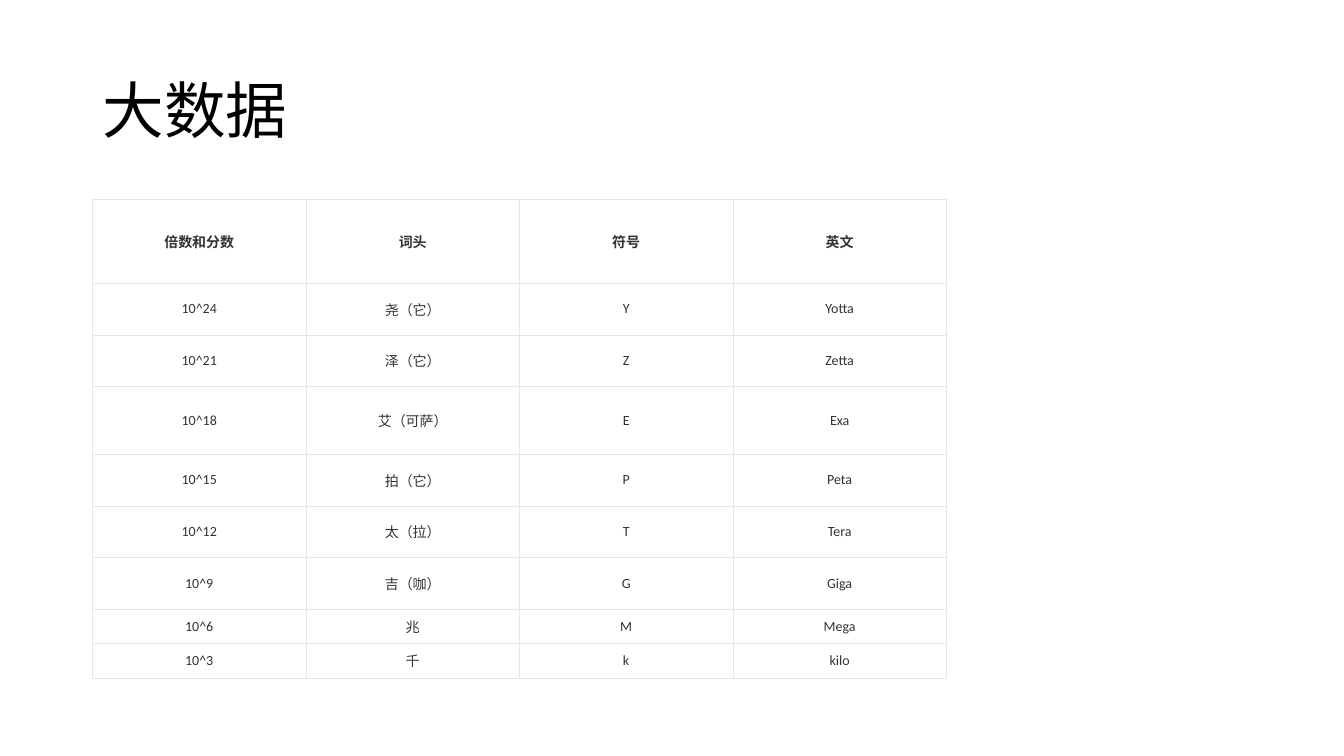
import pptx
import pptx.dml.color
import pptx.enum.lang
import pptx.enum.text
import pptx.oxml
import pptx.oxml.ns
import pptx.util

Cm, Pt = pptx.util.Cm, pptx.util.Pt
ALIGN = pptx.enum.text.PP_ALIGN
MIDDLE = pptx.enum.text.MSO_ANCHOR.MIDDLE
CHINESE = pptx.enum.lang.MSO_LANGUAGE_ID.SIMPLIFIED_CHINESE

HEADINGS = ("倍数和分数", "词头", "符号", "英文")
PREFIXES = (
    ("尧（它）", "Y", "Yotta"),
    ("泽（它）", "Z", "Zetta"),
    ("艾（可萨）", "E", "Exa"),
    ("拍（它）", "P", "Peta"),
    ("太（拉）", "T", "Tera"),
    ("吉（咖）", "G", "Giga"),
    ("兆", "M", "Mega"),
    ("千", "k", "kilo"),
)
ROW_HEIGHTS = (2.13, 1.3, 1.3, 1.71, 1.3, 1.3, 1.3, 0.87, 0.87)
COLUMN_WIDTH = 5.38


def rgb(code):
    """Turn a hex string into a colour."""
    return pptx.dml.color.RGBColor.from_string(code)


def apply(target, formats):
    """Set each attribute named in a dict of format values."""
    for name, value in formats.items():
        setattr(target, name, value)


class SlideBuilder:
    """Holds the style and the current slide."""

    font_name = "Calibri"
    background, border = "FFFFFF", "E6E6E6"
    title_color, table_color = "000000", "333333"
    cell_format = {
        "margin_left": Cm(0.1), "margin_right": Cm(0.1),
        "margin_top": Cm(0.03), "margin_bottom": Cm(0.03),
        "vertical_anchor": MIDDLE,
    }

    def __init__(self, slide):
        """Keep the slide and paint its background."""
        self.slide = slide
        fill = slide.background.fill
        fill.solid()
        fill.fore_color.rgb = rgb(self.background)

    def add_text(self, frame, wording, size, color, align, bold=False):
        """Put one formatted paragraph into a text frame."""
        paragraph = frame.paragraphs[0]
        paragraph.alignment = align
        run = paragraph.add_run()
        run.text = wording
        apply(run.font, {"name": self.font_name, "size": Pt(size),
                         "bold": bold, "language_id": CHINESE})
        run.font.color.rgb = rgb(color)
        return paragraph

    def title(self, wording, left, top, width, height):
        """Place and fill the title placeholder."""
        heading = self.slide.shapes.title
        apply(heading, {"left": Cm(left), "top": Cm(top),
                        "width": Cm(width), "height": Cm(height)})
        apply(heading.text_frame, {
            "vertical_anchor": MIDDLE, "word_wrap": True,
            "auto_size": pptx.enum.text.MSO_AUTO_SIZE.NONE})
        paragraph = self.add_text(heading.text_frame, wording, 44,
                                  self.title_color, ALIGN.LEFT)
        paragraph.line_spacing = 0.9

    def outline(self, cell):
        """Draw a thin border on all four sides of a cell."""
        properties = cell._tc.get_or_add_tcPr()
        for position, side in enumerate(("lnL", "lnR", "lnT", "lnB")):
            properties.insert(position, pptx.oxml.parse_xml(
                f'<a:{side} {pptx.oxml.ns.nsdecls("a")} w="{Pt(0.5)}">'
                f'<a:solidFill><a:srgbClr val="{self.border}"/></a:solidFill>'
                f'</a:{side}>'))

    def table(self, rows, left, top, column_width, row_heights):
        """Add a bordered table whose first row is bold."""
        column_count = len(rows[0])
        grid = self.slide.shapes.add_table(
            len(rows), column_count, Cm(left), Cm(top),
            Cm(column_width * column_count), Cm(sum(row_heights))).table
        grid.horz_banding = False
        for column in grid.columns:
            column.width = Cm(column_width)
        for index, (entries, height) in enumerate(zip(rows, row_heights)):
            grid.rows[index].height = Cm(height)
            for cell, wording in zip(grid.rows[index].cells, entries):
                apply(cell, self.cell_format)
                cell.fill.solid()
                cell.fill.fore_color.rgb = rgb(self.background)
                self.outline(cell)
                self.add_text(cell.text_frame, wording, 10, self.table_color,
                              ALIGN.CENTER, bold=index == 0)


deck = pptx.Presentation()
apply(deck, {"slide_width": Cm(33.87), "slide_height": Cm(19.05)})
builder = SlideBuilder(deck.slides.add_slide(deck.slide_layouts[5]))
builder.title("大数据", 2.33, 1.01, 29.21, 3.68)

powers = [f"10^{exponent}" for exponent in range(24, 0, -3)]
prefix_rows = [(power, *prefix) for power, prefix in zip(powers, PREFIXES)]
builder.table([HEADINGS, *prefix_rows], 2.33, 5.01, COLUMN_WIDTH, ROW_HEIGHTS)

deck.save("out.pptx")
